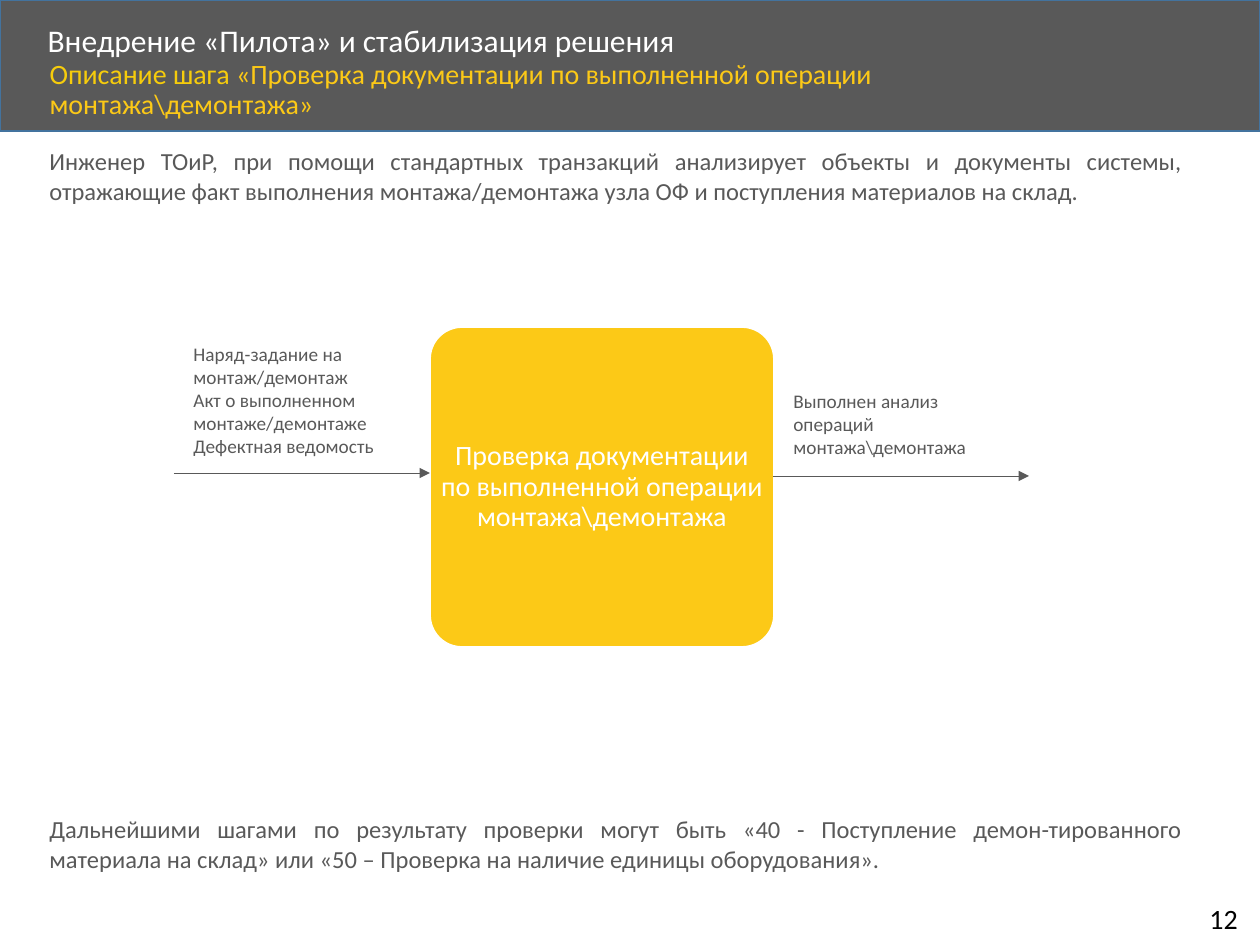
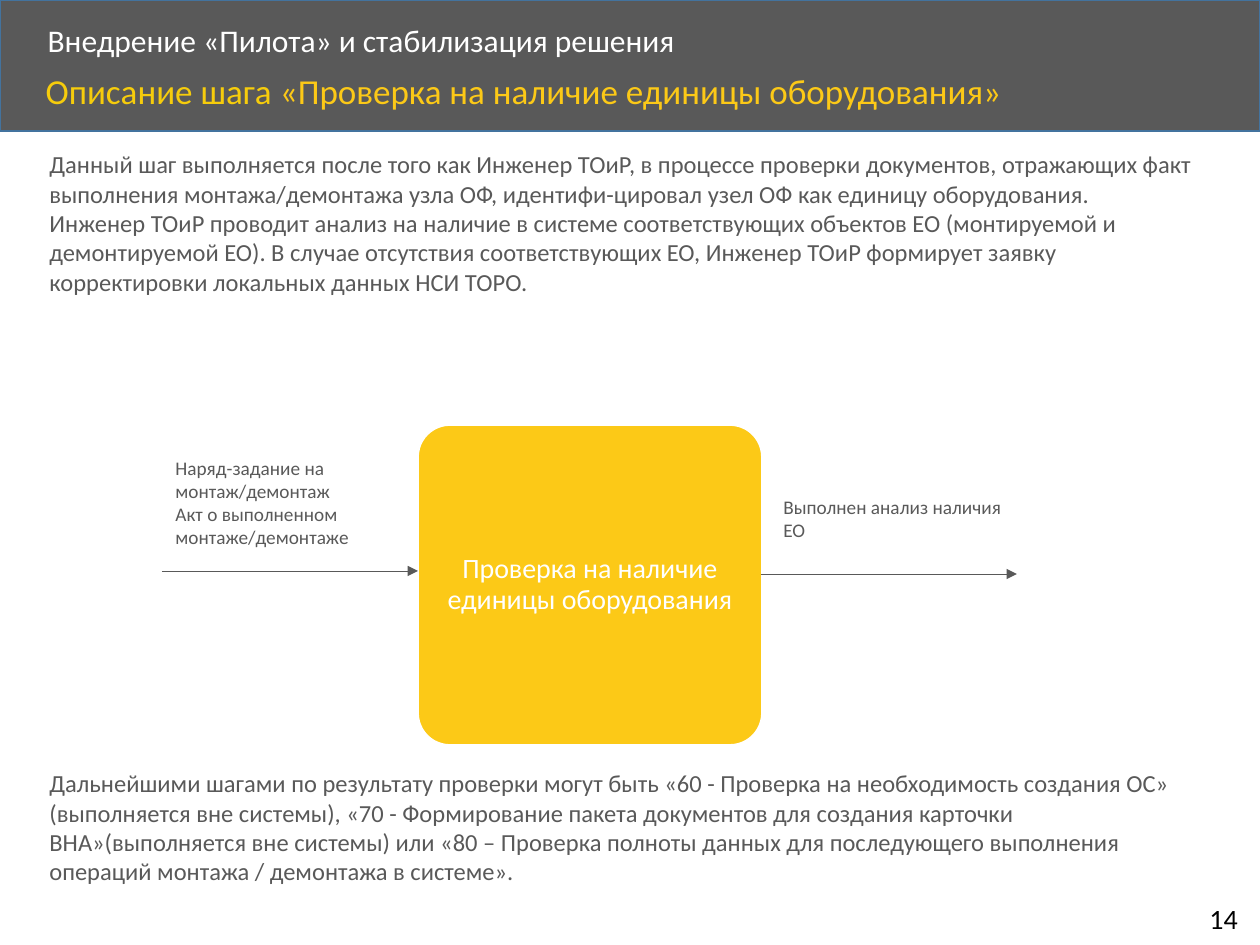
from pptx import Presentation
from pptx import util as u
from pptx.dml.color import RGBColor
from pptx.enum import shapes, text
from pptx.oxml.ns import qn
from lxml import etree

PX_PER_INCH = 126
FONT = "Calibri"
GREY, YELLOW, TITLE_YELLOW = "595959", "FCC917", "F6CC0C"
WHITE, BLACK, BAND_EDGE = "FFFFFF", "000000", "43739E"

SECTION = "Внедрение «Пилота» и стабилизация решения"
SUBTITLE_START = "Описание шага "
STEP_SIZE = (344, 320)
ARROW_LENGTH = 256
LABEL_WIDTH = 252
LEFT, JUSTIFY, CENTER = text.PP_ALIGN.LEFT, text.PP_ALIGN.JUSTIFY, text.PP_ALIGN.CENTER

# Boxes are (left, top, width, height) in px; labels and steps give left and top.
STEPS = [
    {
        "number": "12",
        "name": "Проверка документации по выполненной операции монтажа\\демонтажа",
        "subtitle_box": (37, 54, 1092, 57), "subtitle_size": 16,
        "align": JUSTIFY,
        "intro_box": (37, 140, 1158, 72),
        "intro": [
            "Инженер ТОиР, при помощи стандартных транзакций анализирует объекты и документы "
            "системы, отражающие факт выполнения монтажа/демонтажа узла ОФ и поступления "
            "материалов на склад.",
        ],
        "step_at": (430, 327),
        "inputs_at": (181, 336),
        "inputs": ["Наряд-задание на монтаж/демонтаж", "Акт о выполненном монтаже/демонтаже",
                   "Дефектная ведомость"],
        "outputs_at": (781, 383),
        "outputs": ["Выполнен анализ операций монтажа\\демонтажа"],
        "next_box": (37, 808, 1158, 72),
        "next": [
            "Дальнейшими шагами по результату проверки могут быть «40 - Поступление "
            "демон-тированного материала на склад» или «50 – Проверка на наличие единицы "
            "оборудования».",
        ],
    },
    {
        "number": "14",
        "name": "Проверка на наличие единицы оборудования",
        "subtitle_box": (33, 68, 1092, 57), "subtitle_size": 20,
        "align": LEFT,
        "intro_box": (37, 143, 1192, 161),
        "intro": [
            "Данный шаг выполняется после того как Инженер ТОиР, в процессе проверки документов, "
            "отражающих факт выполнения монтажа/демонтажа узла ОФ, идентифи-цировал узел ОФ "
            "как единицу оборудования.",
            "Инженер ТОиР проводит анализ на наличие в системе соответствующих объектов ЕО "
            "(монтируемой и демонтируемой ЕО). В случае отсутствия соответствующих ЕО, Инженер "
            "ТОиР формирует заявку корректировки локальных данных НСИ ТОРО.",
        ],
        "step_at": (418, 425),
        "inputs_at": (163, 450),
        "inputs": ["Наряд-задание на монтаж/демонтаж", "Акт о выполненном монтаже/демонтаже"],
        "outputs_at": (771, 489),
        "outputs": ["Выполнен анализ наличия ЕО"],
        "next_box": (37, 762, 1158, 131),
        "next": [
            "Дальнейшими шагами по результату проверки могут быть «60 - Проверка на "
            "необходимость создания ОС» (выполняется вне системы), «70 - Формирование пакета "
            "документов для создания карточки ВНА»(выполняется вне системы) или «80 – Проверка "
            "полноты данных для последующего выполнения операций монтажа / демонтажа в системе».",
        ],
    },
]


def emu(*lengths):
    """Turn px lengths into EMU."""
    return [u.Emu(round(length * u.Inches(1) / PX_PER_INCH)) for length in lengths]


def rgb(color):
    return RGBColor.from_string(color)


def write(frame, paragraphs, size, align=LEFT, spacing=1.0):
    """Fill a text frame; each paragraph is a list of (words, colour) runs."""
    for index, runs in enumerate(paragraphs):
        paragraph = frame.add_paragraph() if index else frame.paragraphs[0]
        paragraph.alignment = align
        paragraph.line_spacing = spacing
        paragraph.space_before = u.Pt(0)
        for words, color in runs:
            run = paragraph.add_run()
            run.text = words
            run.font.name, run.font.size = FONT, u.Pt(size)
            run.font.color.rgb = rgb(color)


def add_text(slide, box, lines, size, color=GREY, align=LEFT, wrap=True):
    frame = slide.shapes.add_textbox(*emu(*box)).text_frame
    frame.word_wrap = wrap
    frame.auto_size = text.MSO_AUTO_SIZE.SHAPE_TO_FIT_TEXT
    write(frame, [[(line, color)] for line in lines], size, align)


def fill_placeholder(shape, box, runs, size, anchor):
    shape.left, shape.top, shape.width, shape.height = emu(*box)
    frame = shape.text_frame
    frame.auto_size = text.MSO_AUTO_SIZE.NONE
    frame.vertical_anchor = anchor
    properties = frame.paragraphs[0]._p.get_or_add_pPr()
    properties.set("marL", "0")
    properties.set("indent", "0")
    etree.SubElement(properties, qn("a:buNone"))
    write(frame, [runs], size, spacing=0.9)


def add_box(slide, kind, box, fill, line):
    shape = slide.shapes.add_shape(kind, *emu(*box))
    shape.shadow.inherit = False
    shape.fill.solid()
    shape.fill.fore_color.rgb = rgb(fill)
    shape.line.color.rgb = rgb(line)
    shape.line.width = u.Pt(1)
    return shape


def add_arrow(slide, left, top):
    arrow = slide.shapes.add_connector(
        shapes.MSO_CONNECTOR.STRAIGHT, *emu(left, top, left + ARROW_LENGTH, top))
    arrow.line.color.rgb = rgb(GREY)
    arrow.line.width = u.Pt(0.5)
    etree.SubElement(arrow.line._get_or_add_ln(), qn("a:tailEnd"), type="triangle")
    etree.SubElement(arrow.element.spPr, qn("a:effectLst"))


def move_to_layout(shape, layout):
    """Put a shape behind everything on all slides of the layout."""
    shape.element.nvSpPr.cNvPr.set("id", "20")
    layout.shapes.element.insert(2, shape.element)


def add_step(slide, step):
    left, top = step["step_at"]
    width, height = STEP_SIZE
    box = add_box(slide, shapes.MSO_SHAPE.ROUNDED_RECTANGLE,
                  (left, top, width, height), YELLOW, WHITE)
    box.adjustments[0] = 0.1
    frame = box.text_frame
    frame.word_wrap = True
    frame.vertical_anchor = text.MSO_ANCHOR.MIDDLE
    frame.margin_left, frame.margin_top, frame.margin_right, frame.margin_bottom = emu(1, 1, 1, 1)
    write(frame, [[(step["name"], WHITE)]], 16, CENTER, 0.9)
    add_arrow(slide, left - ARROW_LENGTH, top + 146)
    add_arrow(slide, left + width - 1, top + 149)
    for side in ("inputs", "outputs"):
        label_height = 60 if side == "outputs" else 106
        add_text(slide, (*step[side + "_at"], LABEL_WIDTH, label_height), step[side], 11)


def main():
    presentation = Presentation()
    presentation.slide_width, presentation.slide_height = emu(1260, 945)
    layout = presentation.slide_layouts[1]
    for index, step in enumerate(STEPS):
        slide = presentation.slides.add_slide(layout)
        if index == 0:
            band = add_box(slide, shapes.MSO_SHAPE.RECTANGLE, (0, 0, 1260, 131), GREY, BAND_EDGE)
            move_to_layout(band, layout)
        fill_placeholder(slide.shapes.title, (35, 18, 1017, 48), [(SECTION, WHITE)],
                         18, text.MSO_ANCHOR.MIDDLE)
        fill_placeholder(slide.placeholders[1], step["subtitle_box"],
                         [(SUBTITLE_START, TITLE_YELLOW), (f"«{step['name']}»", YELLOW)],
                         step["subtitle_size"], text.MSO_ANCHOR.TOP)
        add_text(slide, step["intro_box"], step["intro"], 14, align=step["align"])
        add_step(slide, step)
        add_text(slide, step["next_box"], step["next"], 14, align=step["align"])
        add_text(slide, (1197, 895, 58, 47), [step["number"]], 16, BLACK, wrap=False)
    presentation.save("out.pptx")


if __name__ == "__main__":
    main()
